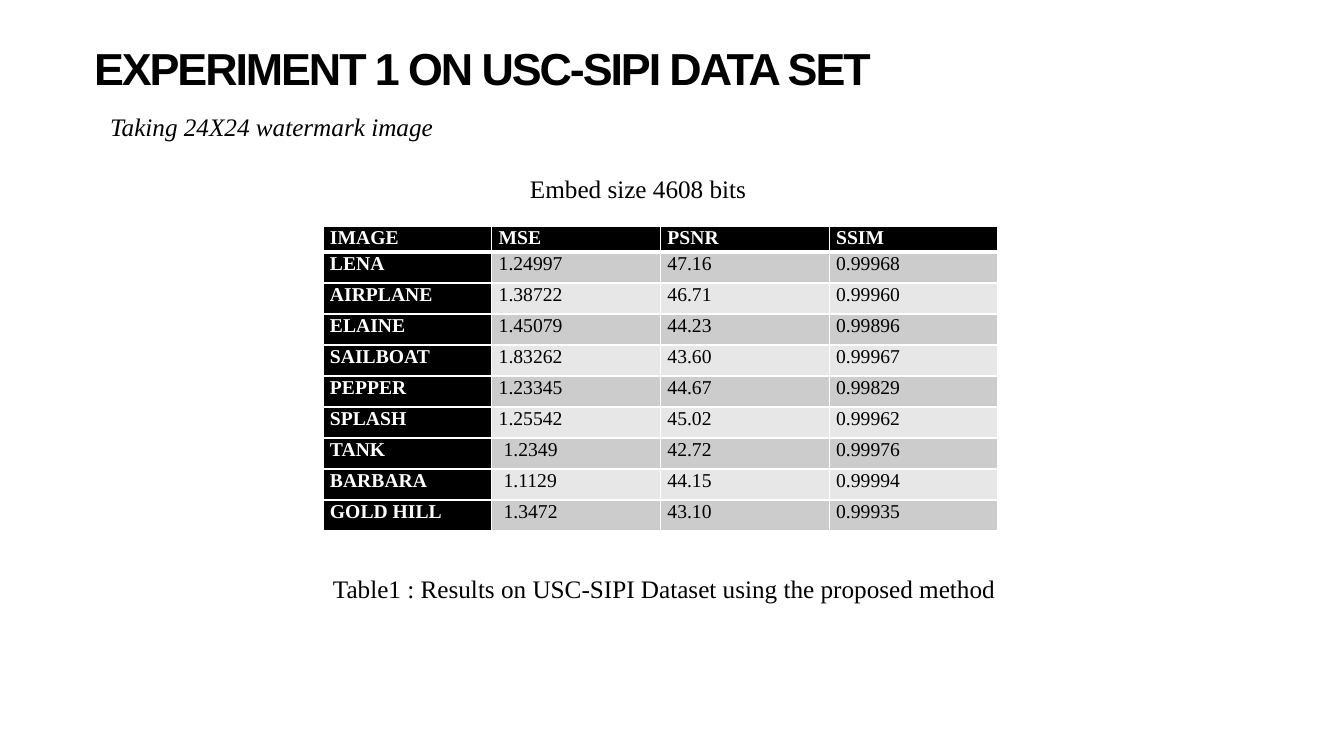
import pptx
import pptx.util
import pptx.dml.color
import pptx.enum.text
import lxml.etree
import pptx.oxml.ns

PX = 914400 / 100.8
BLACK = pptx.dml.color.RGBColor(0x00, 0x00, 0x00)
WHITE = pptx.dml.color.RGBColor(0xFF, 0xFF, 0xFF)
DARK = pptx.dml.color.RGBColor(0xCC, 0xCC, 0xCC)
LIGHT = pptx.dml.color.RGBColor(0xE7, 0xE7, 0xE7)
SERIF = "Times New Roman"
MIDDLE = pptx.enum.text.MSO_ANCHOR.MIDDLE
TOP = pptx.enum.text.MSO_ANCHOR.TOP


def px(num):
    return pptx.util.Emu(round(num * PX))


def write(frame, text, look, color, space):
    para = frame.paragraphs[0]
    for key, value in space.items():
        setattr(para, key, value)
    run = para.add_run()
    run.text = text
    for key, value in look.items():
        setattr(run.font, key, value)
    run.font.color.rgb = color
    return run


deck = pptx.Presentation()
deck.slide_width, deck.slide_height = px(1344), px(756)
slide = deck.slides.add_slide(deck.slide_layouts[6])

plain = {"name": SERIF, "size": pptx.util.Pt(18)}
bold = {"name": "Arial", "size": pptx.util.Pt(32), "bold": True}
slant = {**plain, "italic": True}
tight = {"line_spacing": 0.9}
texts = [
    ("EXPERIMENT 1 ON USC-SIPI DATA SET", (94, 48, 1007, 47), (0, 0), MIDDLE, bold, tight, -150),
    ("Taking 24X24 watermark image", (110, 115, 760, 39), (0, 0), TOP, slant, tight, 0),
    ("Table1 : Results on USC-SIPI Dataset using the proposed method",
     (323, 568, 704, 40), (10, 5), TOP, plain, {}, 0),
    ("Embed size 4608 bits", (520, 168, 370, 40), (10, 5), TOP, plain, {}, 0),
]
for text, place, (side, edge), anchor, look, space, track in texts:
    frame = slide.shapes.add_textbox(*map(px, place)).text_frame
    box = {
        "word_wrap": True,
        "vertical_anchor": anchor,
        "margin_left": px(side),
        "margin_right": px(side),
        "margin_top": px(edge),
        "margin_bottom": px(edge),
    }
    for key, value in box.items():
        setattr(frame, key, value)
    run = write(frame, text, look, BLACK, space)
    if track:
        run._r.get_or_add_rPr().set("spc", str(track))

rows = [
    ("IMAGE", "MSE", "PSNR", "SSIM"),
    ("LENA", "1.24997", "47.16", "0.99968"),
    ("AIRPLANE", "1.38722", "46.71", "0.99960"),
    ("ELAINE", "1.45079", "44.23", "0.99896"),
    ("SAILBOAT", "1.83262", "43.60", "0.99967"),
    ("PEPPER", "1.23345", "44.67", "0.99829"),
    ("SPLASH", "1.25542", "45.02", "0.99962"),
    ("TANK", " 1.2349", "42.72", "0.99976"),
    ("BARBARA", " 1.1129", "44.15", "0.99994"),
    ("GOLD HILL", " 1.3472", "43.10", "0.99935"),
]
table = slide.shapes.add_table(
    len(rows), len(rows[0]), px(323), px(226), px(675), px(305)).table
for col in table.columns:
    col.width = px(675 / 4)
for r, line in enumerate(rows):
    table.rows[r].height = px(31 if r else 26)
    for c, text in enumerate(line):
        cell = table.cell(r, c)
        pads = {"margin_left": px(7), "margin_right": px(7), "margin_top": 0, "margin_bottom": 0}
        for key, value in pads.items():
            setattr(cell, key, value)
        head = r == 0 or c == 0
        props = cell._tc.get_or_add_tcPr()
        for side in "LRTB":
            thick = (r, side) in ((0, "B"), (1, "T"))
            rule = lxml.etree.SubElement(props, pptx.oxml.ns.qn("a:ln" + side))
            rule.set("w", str(pptx.util.Pt(3 if thick else 1)))
            fill = lxml.etree.SubElement(rule, pptx.oxml.ns.qn("a:solidFill"))
            lxml.etree.SubElement(fill, pptx.oxml.ns.qn("a:srgbClr")).set("val", str(WHITE))
        cell.fill.solid()
        cell.fill.fore_color.rgb = BLACK if head else DARK if r % 2 else LIGHT
        look = {"name": SERIF, "size": pptx.util.Pt(14), "bold": head}
        space = {"line_spacing": 1.07, "space_after": pptx.util.Pt(8)}
        write(cell.text_frame, text, look, WHITE if head else BLACK, space)

deck.save("out.pptx")
